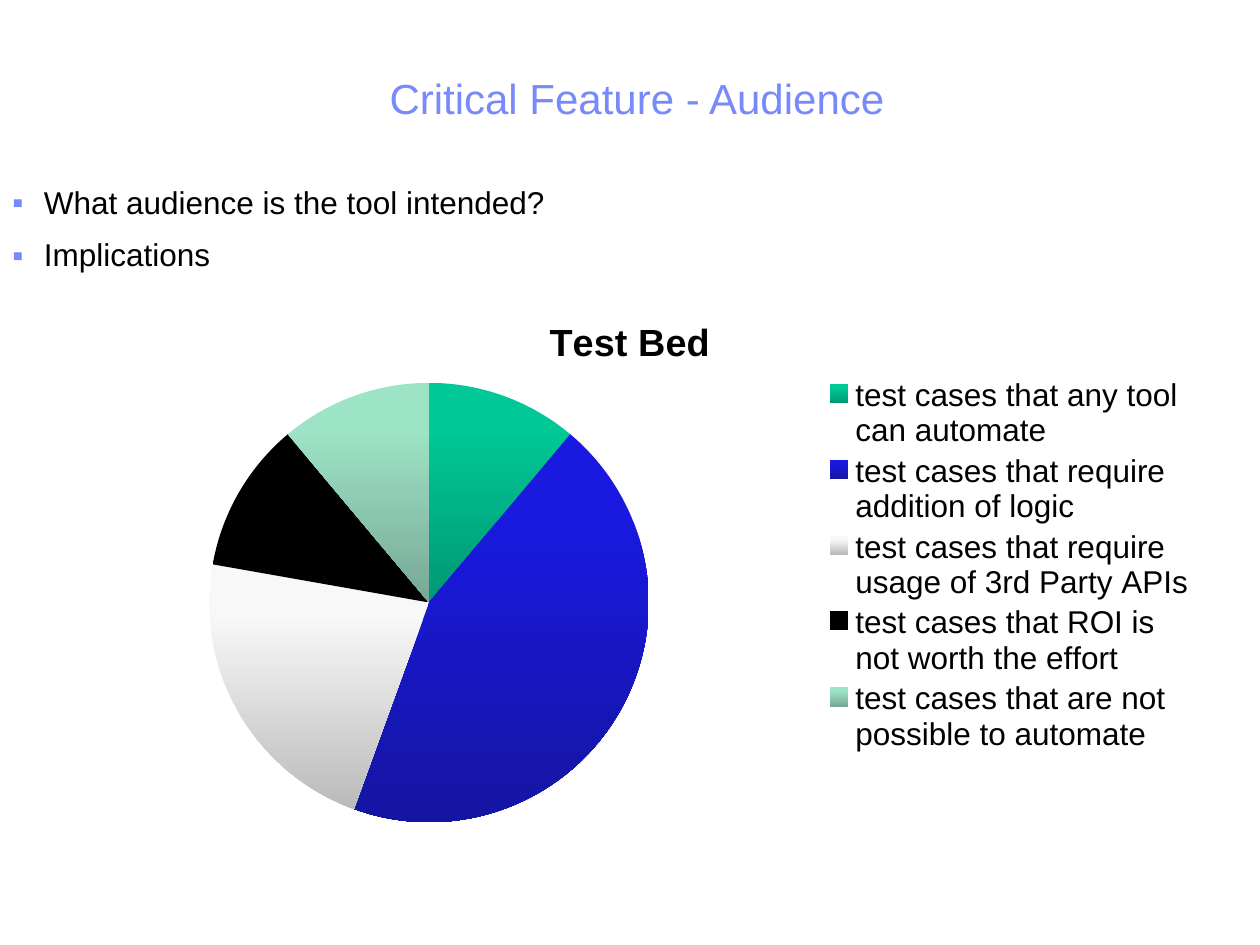
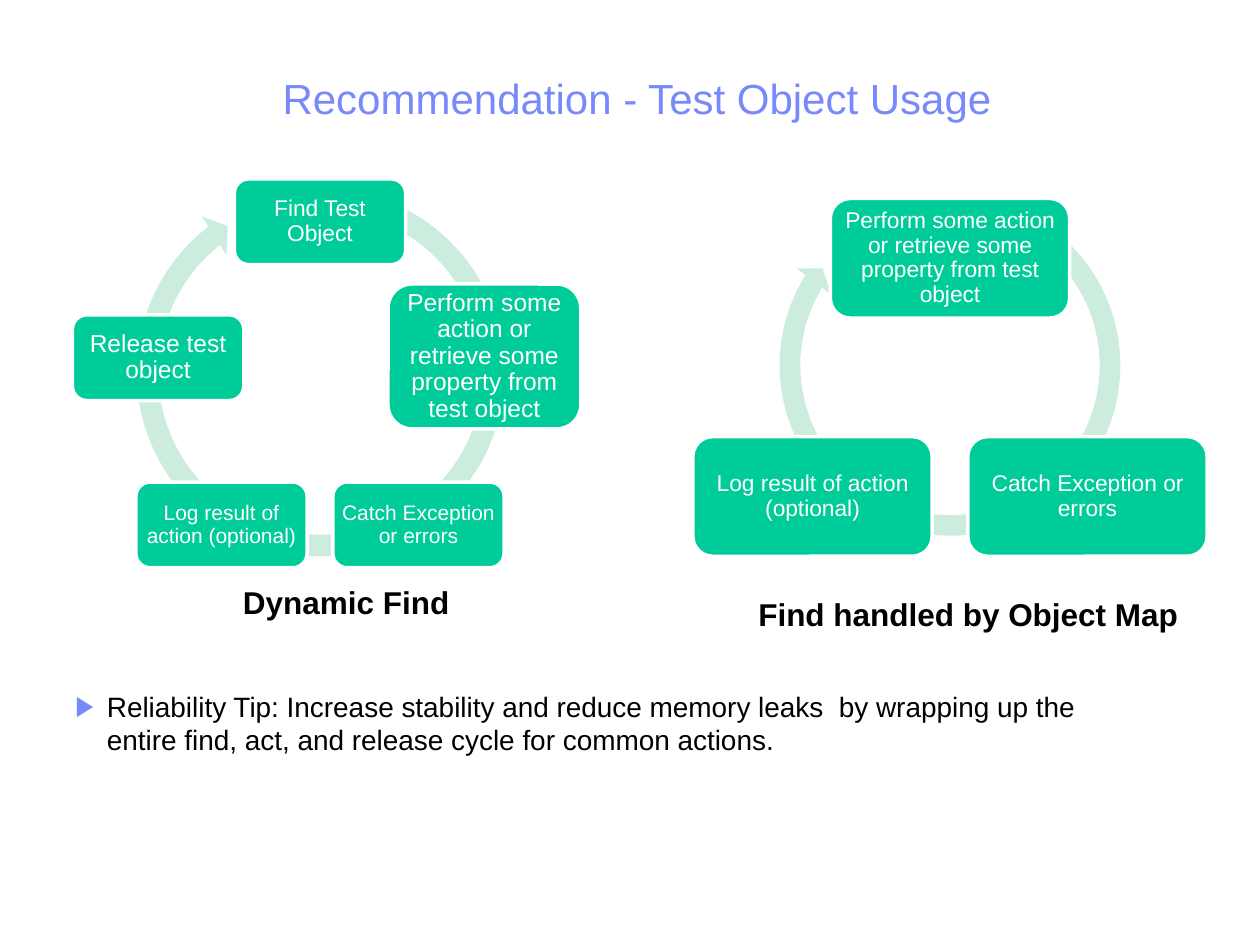
from math import cos, radians, sin

from pptx import Presentation
from pptx.chart.data import CategoryChartData
from pptx.dml.color import RGBColor
from pptx.enum.chart import XL_CHART_TYPE, XL_LEGEND_POSITION
from pptx.enum.shapes import MSO_SHAPE
from pptx.enum.text import MSO_ANCHOR, MSO_AUTO_SIZE, PP_ALIGN
from pptx.oxml import parse_xml
from pptx.oxml.ns import nsdecls
from pptx.util import Inches, Pt

PIE = XL_CHART_TYPE.PIE
LEGEND_RIGHT = XL_LEGEND_POSITION.RIGHT
ROUNDED, CIRCULAR_ARROW = MSO_SHAPE.ROUNDED_RECTANGLE, MSO_SHAPE.CIRCULAR_ARROW
TOP, MIDDLE = MSO_ANCHOR.TOP, MSO_ANCHOR.MIDDLE
CENTER, LEFT = PP_ALIGN.CENTER, PP_ALIGN.LEFT
NO_AUTOSIZE = MSO_AUTO_SIZE.NONE

FONT = "Arial"
ACCENT, BLACK, WHITE = "7889FB", "000000", "FFFFFF"
GREEN, PALE_GREEN = "00CC99", "CCECDE"
TITLE_BOX = (0.14, 0.56, 9.83, 0.46)
TITLE_ONLY = 5

AUDIENCE_TITLE = "Critical Feature - Audience"
AUDIENCE_BOX = (0, 1.42, 9.74, 5.42)
AUDIENCE_POINTS = ["What audience is the tool intended?", "Implications"]
AUDIENCE_STYLE = {"line_spacing": 0.97, "space_before": Pt(5.6), "space_after": Pt(3.4)}

CHART_BOX = (0.33, 2.25, 9.25, 4.42)
CHART_TITLE = "Test Bed"
TEST_BED = [
    ("test cases that any tool can automate", 11, "00C896", "009973"),
    ("test cases that require addition of logic", 44, "1919E0", "1515A3"),
    ("test cases that require usage of 3rd Party APIs", 22, "F8F8F8", "BBBBBB"),
    ("test cases that ROI is not worth the effort", 11, "000000", "000000"),
    ("test cases that are not possible to automate", 11, "9DE4C6", "78A896"),
]
CHART_LAYOUTS = [
    ("c:title", "c:overlay", {"x": 0.43, "y": 0.05}),
    ("c:plotArea", "c:pieChart", {"x": 0.144, "y": 0.178, "w": 0.377, "h": 0.79}),
    ("c:legend", "c:overlay", {"x": 0.67, "y": 0.16, "w": 0.32, "h": 0.69}),
]

USAGE_TITLE = "Recommendation - Test Object Usage"
TIP_BOX = (0.25, 5.42, 8.75, 1)
TIP = ("Reliability Tip: Increase stability and reduce memory leaks  by wrapping up "
       "the entire find, act, and release cycle for common actions.")
TIP_STYLE = {"space_before": Pt(3), "space_after": Pt(3)}
ACTION = "Perform some action or retrieve some property from test object"
CATCH = "Catch Exception or errors"
LOG = "Log result of action (optional)"
SMALL, LARGE, WIDE = (1.36, 0.68), (1.53, 1.15), (1.9, 0.95)
CYCLES = [
    {
        "arrow_box": (0.99, 1.4, 3.11, 3.11),
        "adjustments": (0.055, 3.307, 139.229, 172.972, 0.058),
        "center": (2.54, 3.09),
        "radius": 1.33,
        "steps": [
            ("Find Test Object", 13, SMALL, (0, 0)),
            (ACTION, 14, LARGE, (0.04, 0.15)),
            (CATCH, 12, SMALL, (0, 0)),
            (LOG, 12, SMALL, (0, 0)),
            ("Release test object", 14, SMALL, (-0.02, 0.16)),
        ],
        "caption": ("Dynamic Find", (1.33, 4.58, 2.75, 0.42)),
    },
    {
        "arrow_box": (6.1, 1.46, 2.88, 2.88),
        "adjustments": (0.057, 3.405, 126.985, 180.756, 0.059),
        "center": (7.54, 3.31),
        "radius": 1.26,
        "steps": [(text, 13, WIDE, (0, 0)) for text in (ACTION, CATCH, LOG)],
        "caption": ("Find handled by Object Map", (5.42, 4.67, 4.42, 0.4)),
    },
]


def color(value):
    return RGBColor.from_string(value)


def inches(box):
    return [Inches(length) for length in box]


def set_attributes(target, values):
    for name, value in values.items():
        setattr(target, name, value)


def format_font(font, size, text_color=BLACK, bold=False):
    set_attributes(font, {"name": FONT, "size": Pt(size), "bold": bold})
    font.color.rgb = color(text_color)


def write_paragraph(paragraph, text, size, text_color=BLACK, bold=False, **style):
    set_attributes(paragraph, style)
    run = paragraph.add_run()
    run.text = text
    format_font(run.font, size, text_color, bold)


def indent(paragraph, left, first_line=0, bullet=None):
    properties = paragraph._p.get_or_add_pPr()
    properties.set("marL", str(Inches(left)))
    properties.set("indent", str(Inches(first_line)))
    if bullet:
        properties.append(parse_xml(
            f'<a:buClr {nsdecls("a")}><a:srgbClr val="{ACCENT}"/></a:buClr>'))
        properties.append(parse_xml(f'<a:buFont {nsdecls("a")} typeface="{FONT}"/>'))
        properties.append(parse_xml(f'<a:buChar {nsdecls("a")} char="{bullet}"/>'))


def add_titled_slide(presentation, text):
    slide = presentation.slides.add_slide(presentation.slide_layouts[TITLE_ONLY])
    title = slide.shapes.title
    set_attributes(title, dict(zip(("left", "top", "width", "height"), inches(TITLE_BOX))))
    set_attributes(title.text_frame, {
        "auto_size": NO_AUTOSIZE, "vertical_anchor": TOP, "word_wrap": True})
    write_paragraph(title.text_frame.paragraphs[0], text, 24, ACCENT,
                    alignment=CENTER, line_spacing=0.94)
    return slide


def add_text(slide, box, lines, size, left, first_line=0, bullet=None, bold=False, **style):
    frame = slide.shapes.add_textbox(*inches(box)).text_frame
    frame.word_wrap = True
    for index, line in enumerate(lines):
        paragraph = frame.add_paragraph() if index else frame.paragraphs[0]
        write_paragraph(paragraph, line, size, bold=bold, alignment=LEFT, **style)
        indent(paragraph, left, first_line, bullet)


def place_chart_part(chart, part_name, following_name, position):
    part = chart.element.xpath(f".//{part_name}")[0]
    for layout in part.xpath("c:layout"):
        part.remove(layout)
    modes = "".join(f'<c:{axis}Mode val="edge"/>' for axis in "xy")
    lengths = "".join(f'<c:{name} val="{value}"/>' for name, value in position.items())
    target = '<c:layoutTarget val="inner"/>' if part_name == "c:plotArea" else ""
    part.xpath(following_name)[0].addprevious(parse_xml(
        f'<c:layout {nsdecls("c")}><c:manualLayout>{target}{modes}{lengths}'
        '</c:manualLayout></c:layout>'))


def add_test_bed_chart(slide):
    chart_data = CategoryChartData()
    chart_data.categories = [row[0] for row in TEST_BED]
    chart_data.add_series(CHART_TITLE, [row[1] for row in TEST_BED])
    chart = slide.shapes.add_chart(PIE, *inches(CHART_BOX), chart_data).chart
    format_font(chart.font, 18)
    chart.has_title = True
    write_paragraph(chart.chart_title.text_frame.paragraphs[0], CHART_TITLE, 21.6, bold=True)
    chart.has_legend = True
    set_attributes(chart.legend, {"position": LEGEND_RIGHT, "include_in_layout": False})
    format_font(chart.legend.font, 18)
    plot = chart.plots[0]
    plot.vary_by_categories = True
    for index, row in enumerate(TEST_BED):
        point_format = plot.series[0].points[index].format
        point_format.line.fill.background()
        fill = point_format.fill
        fill.gradient()
        fill.gradient_angle = 270
        for stop, position, shade in zip(fill.gradient_stops, (0.2, 1), row[2:]):
            stop.position = position
            stop.color.rgb = color(shade)
    for layout in CHART_LAYOUTS:
        place_chart_part(chart, *layout)


def add_filled_shape(slide, kind, box, fill_color):
    shape = slide.shapes.add_shape(kind, *inches(box))
    shape.shadow.inherit = False
    shape.fill.solid()
    shape.fill.fore_color.rgb = color(fill_color)
    shape.line.fill.background()
    return shape


def add_step(slide, text, size, box):
    step = add_filled_shape(slide, ROUNDED, box, GREEN)
    step.line.color.rgb = color(WHITE)
    step.line.width = Pt(2)
    set_attributes(step.text_frame, {
        "word_wrap": True, "vertical_anchor": MIDDLE, "margin_top": 0, "margin_bottom": 0,
        "margin_left": Inches(0.02), "margin_right": Inches(0.02)})
    write_paragraph(step.text_frame.paragraphs[0], text, size, WHITE,
                    alignment=CENTER, line_spacing=0.9)


def add_cycle(slide, cycle):
    arrow = add_filled_shape(slide, CIRCULAR_ARROW, cycle["arrow_box"], PALE_GREEN)
    for index, value in enumerate(cycle["adjustments"]):
        arrow.adjustments[index] = value
    center_x, center_y = cycle["center"]
    for index, (text, size, (width, height), (shift_x, shift_y)) in enumerate(cycle["steps"]):
        angle = radians(360 * index / len(cycle["steps"]))
        left = center_x + cycle["radius"] * sin(angle) + shift_x - width / 2
        top = center_y - cycle["radius"] * cos(angle) + shift_y - height / 2
        add_step(slide, text, size, (left, top, width, height))
    caption, box = cycle["caption"]
    add_text(slide, box, [caption], 18, 0.5, bold=True)


def main():
    presentation = Presentation()
    presentation.slide_width, presentation.slide_height = Inches(10), Inches(7.5)

    audience = add_titled_slide(presentation, AUDIENCE_TITLE)
    add_text(audience, AUDIENCE_BOX, AUDIENCE_POINTS, 18, 0.25, -0.25, "▪", **AUDIENCE_STYLE)
    add_test_bed_chart(audience)

    usage = add_titled_slide(presentation, USAGE_TITLE)
    add_text(usage, TIP_BOX, [TIP], 16, 0.5, -0.25, "▶", **TIP_STYLE)
    for cycle in CYCLES:
        add_cycle(usage, cycle)

    presentation.save("out.pptx")


if __name__ == "__main__":
    main()
